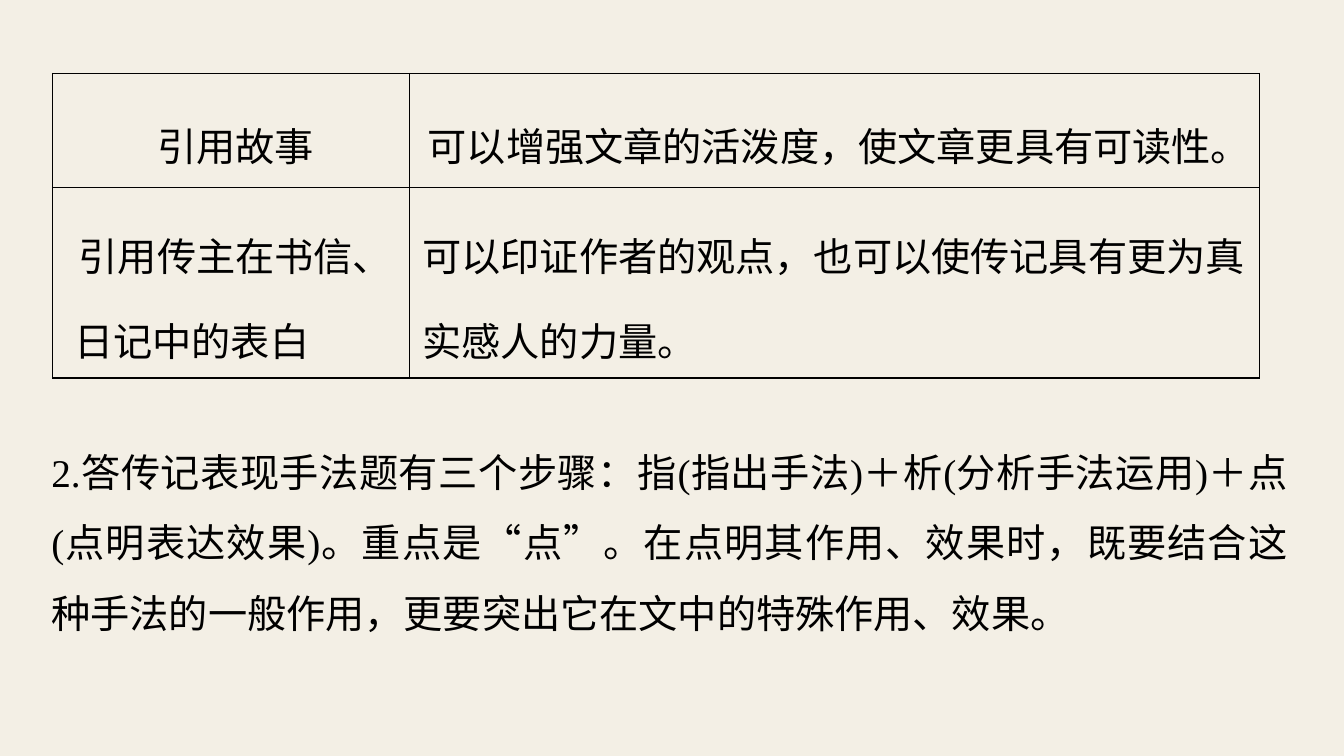
from lxml import etree
from pptx import Presentation
from pptx import util as u
from pptx.dml.color import RGBColor
from pptx.enum import text
from pptx.oxml.ns import qn

COLORS = {"page": "F3EFE5", "ink": "000000"}
LATIN, HAN = "Times New Roman", "Noto Sans CJK SC"
CENTER, LEFT = text.PP_ALIGN.CENTER, text.PP_ALIGN.LEFT
TABLE_BOX = (0.52, 0.73, 11.97, 3.02)
STEPS_BOX = (0.38, 4.14, 12.52, 2.16)
COLUMN_WIDTHS = (3.54, 8.43)
ROW_HEIGHTS = (1.13, 1.89)

# Each cell is a list of (wording, alignment) lines
TECHNIQUES = [
    [[("引用故事", CENTER)],
     [("可以增强文章的活泼度，使文章更具有可读性。", CENTER)]],
    [[("引用传主在书信、", CENTER), (" 日记中的表白", LEFT)],
     [("可以印证作者的观点，也可以使传记具有更为真", LEFT),
      ("实感人的力量。", LEFT)]],
]
STEPS = [
    ("2.答传记表现手法题有三个步骤：指(指出手法)＋析(分析手法运用)"
     "＋点(点明表达效果)。重点是", LATIN),
    ("“", HAN), ("点", LATIN), ("”", HAN),
    ("。在点明其作用、效果时，既要结合这种手法的一般作用，"
     "更要突出它在文中的特殊作用、效果。", LATIN),
]


def set_all(target, values):
    for name, value in values.items():
        setattr(target, name, value)


def add_span(para, wording, font_name, han_font=None):
    span = para.add_run()
    span.text = wording
    set_all(span.font, {"name": font_name, "size": u.Pt(28)})
    span.font.color.rgb = RGBColor.from_string(COLORS["ink"])
    if han_font:
        span.font._element.find(qn("a:latin")).addnext(
            etree.Element(qn("a:ea"), typeface=han_font))


def add_borders(cell):
    properties = cell._tc.get_or_add_tcPr()
    for position, side in enumerate(("a:lnL", "a:lnR", "a:lnT", "a:lnB")):
        line = etree.Element(qn(side), w=str(u.Pt(1)))
        fill = etree.SubElement(line, qn("a:solidFill"))
        etree.SubElement(fill, qn("a:srgbClr"), val=COLORS["ink"])
        properties.insert(position, line)


def fill_cell(cell, lines):
    set_all(cell, {"margin_left": u.Inches(0.04), "margin_right": u.Inches(0.04),
                   "margin_top": 0, "margin_bottom": 0,
                   "vertical_anchor": text.MSO_ANCHOR.MIDDLE})
    cell.fill.background()
    add_borders(cell)
    for index, (wording, alignment) in enumerate(lines):
        frame = cell.text_frame
        para = frame.add_paragraph() if index else frame.paragraphs[0]
        set_all(para, {"alignment": alignment, "line_spacing": 1.5})
        para._p.get_or_add_pPr().set("indent", str(u.Inches(0.09)))
        add_span(para, wording, LATIN, HAN)


# Table of quoting techniques and their effects
def add_techniques(page, box):
    table = page.shapes.add_table(len(ROW_HEIGHTS), len(COLUMN_WIDTHS),
                                  *map(u.Inches, box)).table
    set_all(table, {"first_row": False, "horz_banding": False})
    for column, width in zip(table.columns, COLUMN_WIDTHS):
        column.width = u.Inches(width)
    for row, height, entries in zip(table.rows, ROW_HEIGHTS, TECHNIQUES):
        row.height = u.Inches(height)
        for cell, lines in zip(row.cells, entries):
            fill_cell(cell, lines)


# Paragraph on the three answering steps
def add_steps(page, box):
    frame = page.shapes.add_textbox(*map(u.Inches, box)).text_frame
    set_all(frame, {"word_wrap": True,
                    "auto_size": text.MSO_AUTO_SIZE.SHAPE_TO_FIT_TEXT,
                    "margin_left": u.Inches(0.13), "margin_right": u.Inches(0.13),
                    "margin_top": u.Inches(0.07), "margin_bottom": u.Inches(0.07)})
    para = frame.paragraphs[0]
    set_all(para, {"alignment": text.PP_ALIGN.JUSTIFY, "line_spacing": 1.5})
    for wording, font_name in STEPS:
        add_span(para, wording, font_name)


def main():
    deck = Presentation()
    set_all(deck, {"slide_width": u.Inches(13.33), "slide_height": u.Inches(7.5)})
    page = deck.slides.add_slide(deck.slide_layouts[6])
    page.background.fill.solid()
    page.background.fill.fore_color.rgb = RGBColor.from_string(COLORS["page"])
    add_techniques(page, TABLE_BOX)
    add_steps(page, STEPS_BOX)
    deck.save("out.pptx")


if __name__ == "__main__":
    main()
